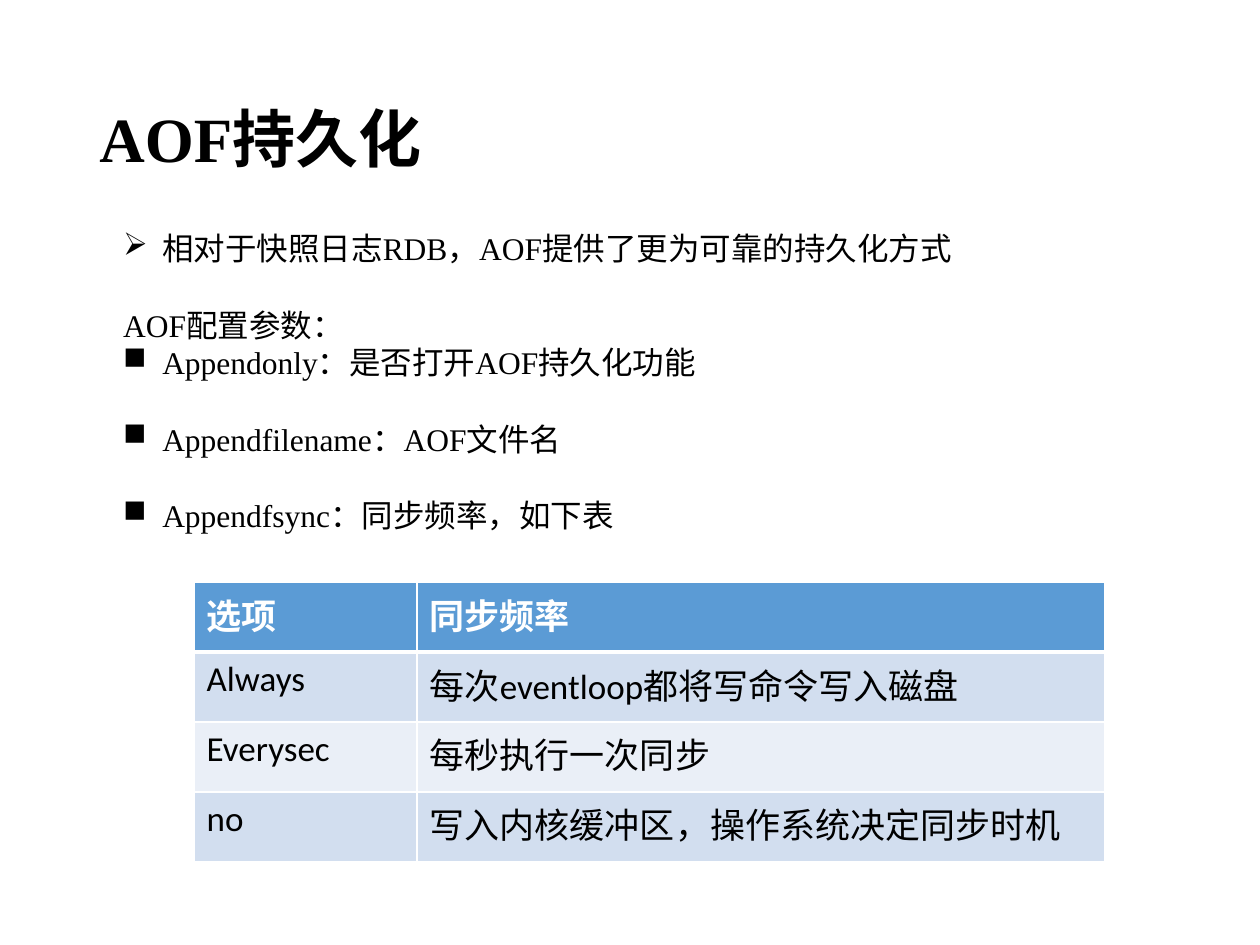
from dataclasses import dataclass

from lxml import etree
from pptx import Presentation
from pptx import util as u
from pptx.dml import color
from pptx.enum import text
from pptx.oxml import ns


@dataclass(frozen=True)
class Theme:
    serif: str = "Times New Roman"
    sans: str = "Calibri"
    black: str = "000000"
    white: str = "FFFFFF"
    header: str = "5B9BD5"
    bands: tuple = ("D2DEEF", "EAEFF7")
    title_size: int = 36
    body_size: int = 18
    table_size: int = 20
    border: int = 1
    header_rule: int = 3


THEME = Theme()
TITLE = "AOF持久化"
BODY = [
    ("➢", "相对于快照日志RDB，AOF提供了更为可靠的持久化方式", 22),
    (None, "AOF配置参数：", 0),
    ("■", "Appendonly：是否打开AOF持久化功能", 22),
    ("■", "Appendfilename：AOF文件名", 22),
    ("■", "Appendfsync：同步频率，如下表", 0),
]
OPTIONS = [
    ("选项", "同步频率"),
    ("Always", "每次eventloop都将写命令写入磁盘"),
    ("Everysec", "每秒执行一次同步"),
    ("no", "写入内核缓冲区，操作系统决定同步时机"),
]


def format_runs(paragraph, font_name, size, font_color, bold=False):
    for run in paragraph.runs:
        run.font.name = font_name
        run.font.size = u.Pt(size)
        run.font.bold = bold
        run.font.color.rgb = color.RGBColor.from_string(font_color)


def add_text_frame(slide, left, top, width, height):
    box = slide.shapes.add_textbox(
        u.Inches(left), u.Inches(top), u.Inches(width), u.Inches(height)
    )
    box.text_frame.word_wrap = True
    return box.text_frame


def add_title(slide, left, top, width, height):
    frame = add_text_frame(slide, left, top, width, height)
    frame.vertical_anchor = text.MSO_ANCHOR.MIDDLE
    frame.text = TITLE
    paragraph = frame.paragraphs[0]
    paragraph.line_spacing = 0.9
    format_runs(paragraph, THEME.serif, THEME.title_size, THEME.black, True)


def set_bullet(paragraph, character):
    properties = paragraph._p.get_or_add_pPr()
    indent = u.Inches(0.31)
    properties.set("marL", str(indent))
    properties.set("indent", str(-indent))
    bullet = etree.SubElement(properties, ns.qn("a:buChar"))
    bullet.set("char", character)


def add_body(slide, left, top, width, height):
    frame = add_text_frame(slide, left, top, width, height)
    frame.text = "\n".join(line for _, line, _ in BODY)
    for paragraph, (bullet, _, gap) in zip(frame.paragraphs, BODY):
        paragraph.space_after = u.Pt(gap)
        if bullet:
            set_bullet(paragraph, bullet)
        format_runs(paragraph, THEME.serif, THEME.body_size, THEME.black)


def set_borders(cell, top_width, bottom_width):
    properties = cell._tc.get_or_add_tcPr()
    widths = {"L": THEME.border, "R": THEME.border, "T": top_width, "B": bottom_width}
    for position, (side, width) in enumerate(widths.items()):
        line = etree.Element(ns.qn(f"a:ln{side}"), w=str(u.Pt(width)))
        fill = etree.SubElement(line, ns.qn("a:solidFill"))
        etree.SubElement(fill, ns.qn("a:srgbClr"), val=THEME.white)
        properties.insert(position, line)


def fill_cell(cell, content, row):
    is_header = row == 0
    cell.text = content
    cell.fill.solid()
    background = THEME.header if is_header else THEME.bands[(row - 1) % 2]
    cell.fill.fore_color.rgb = color.RGBColor.from_string(background)
    set_borders(
        cell,
        THEME.header_rule if row == 1 else THEME.border,
        THEME.header_rule if is_header else THEME.border,
    )
    font_color = THEME.white if is_header else THEME.black
    format_runs(
        cell.text_frame.paragraphs[0], THEME.sans, THEME.table_size, font_color, is_header
    )


def add_options_table(slide, left, top, width, height):
    table = slide.shapes.add_table(
        len(OPTIONS), 2, u.Inches(left), u.Inches(top), u.Inches(width), u.Inches(height)
    ).table
    option_width = 1.77
    table.columns[0].width = u.Inches(option_width)
    table.columns[1].width = u.Inches(width - option_width)
    for row, contents in enumerate(OPTIONS):
        table.rows[row].height = u.Inches(height / len(OPTIONS))
        for column, content in enumerate(contents):
            fill_cell(table.cell(row, column), content, row)


def main():
    presentation = Presentation()
    presentation.slide_width = u.Inches(10)
    presentation.slide_height = u.Inches(7.5)
    slide = presentation.slides.add_slide(presentation.slide_layouts[6])
    add_title(slide, 0.69, 0.4, 8.62, 1.45)
    add_body(slide, 0.88, 1.77, 8.93, 2.52)
    add_options_table(slide, 1.54, 4.62, 7.23, 2.22)
    presentation.save("out.pptx")


if __name__ == "__main__":
    main()
